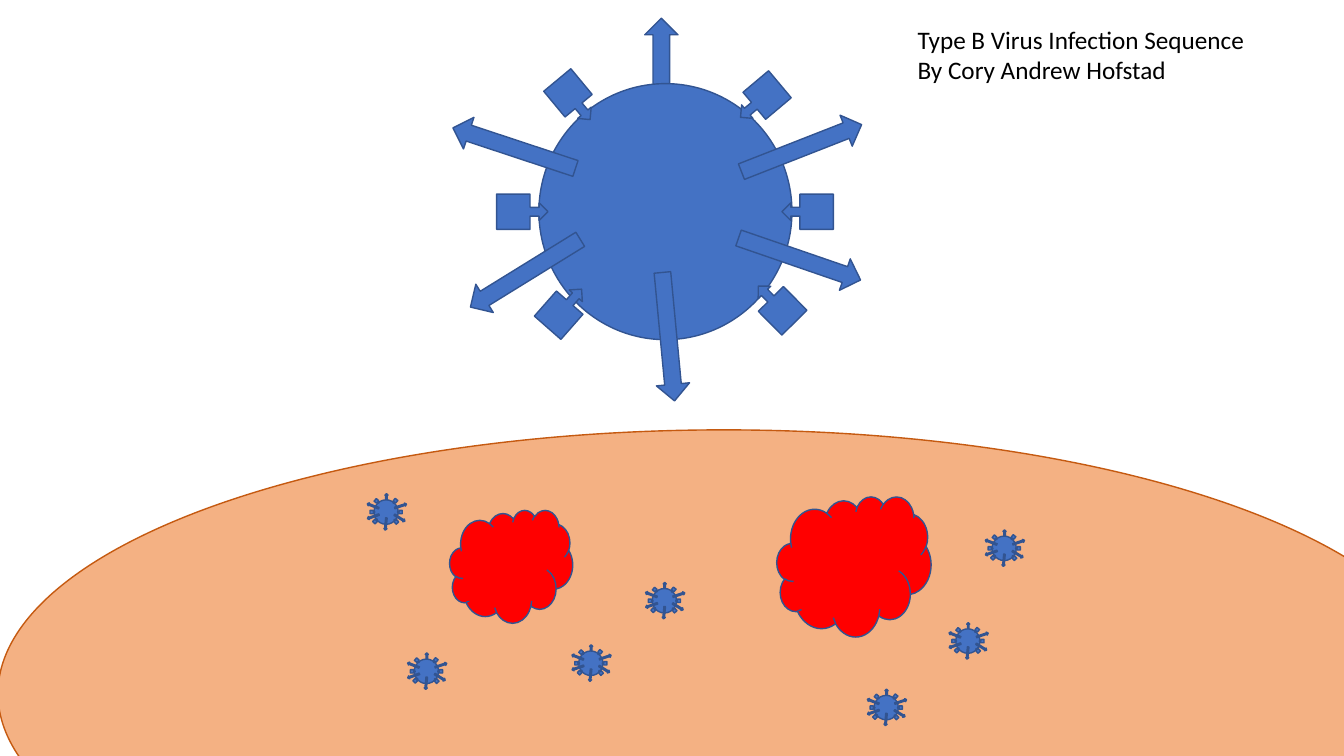
"""Build the virus infection slide: one large virus, a cell, two clouds and seven small viruses."""
from dataclasses import dataclass

from pptx import Presentation
from pptx.dml.color import RGBColor
from pptx.enum.shapes import MSO_SHAPE
from pptx.enum.text import MSO_ANCHOR, MSO_AUTO_SIZE, PP_ALIGN
from pptx.util import Inches, Pt

OVAL = MSO_SHAPE.OVAL
CLOUD = MSO_SHAPE.CLOUD
ARROW = MSO_SHAPE.RIGHT_ARROW
PLUG = MSO_SHAPE.LEFT_ARROW_CALLOUT
TOP = MSO_ANCHOR.TOP
FIT = MSO_AUTO_SIZE.SHAPE_TO_FIT_TEXT
LEFT = PP_ALIGN.LEFT


@dataclass(frozen=True)
class Theme:
    virus: str = "4472C4"
    edge: str = "325491"
    cell: str = "F4B183"
    rim: str = "C55A11"
    cloud: str = "FF0000"
    ink: str = "000000"
    font: str = "Calibri"
    text: int = 18
    line: int = 1


THEME = Theme()
SLIDE = (13.33, 7.5)
TITLE = ["Type B Virus Infection Sequence", "By Cory Andrew Hofstad"]
TITLE_BOX = (9, 0.19, 4.13, 0.71)
CELL = (7.18, 6.88, 14.4, 5.23)
CLOUDS = [(8.47, 5.62, 1.53, 1.39), (5.07, 5.62, 1.22, 1.12)]

SIZES = {OVAL: (2.51, 2.54), ARROW: (1.28, 0.33), PLUG: (0.51, 0.35)}
PARTS = [
    (ARROW, -0.04, -1.28, 270),
    (OVAL, 0, 0, 0),
    (PLUG, 1.41, 0, 0),
    (PLUG, -1.42, 0, 180),
    (PLUG, 1.1, 0.92, 45.3),
    (PLUG, 0.94, -1.1, 320),
    (PLUG, -0.91, -1.11, 230.3),
    (PLUG, -1, 0.96, 131.3),
    (ARROW, 1.35, -0.63, 338.6),
    (ARROW, 1.33, 0.47, 19),
    (ARROW, -1.5, -0.63, 198.3),
    (ARROW, -1.39, 0.61, 148.3),
    (ARROW, 0.03, 1.24, 84.6),
]
LARGE = (6.6, 2.1)
SMALL = [(8.79, 7.02), (9.96, 5.44), (9.6, 6.36), (3.83, 5.08),
         (4.23, 6.66), (5.86, 6.58), (6.59, 5.96)]
SHRINK = 0.24 / SIZES[OVAL][0]


def draw(shapes, kind, box, fill, edge):
    """Add a filled shape given its centre and size."""
    x, y, wide, high = box
    shape = shapes.add_shape(kind, Inches(x - wide / 2), Inches(y - high / 2),
                             Inches(wide), Inches(high))
    shape.shadow.inherit = False
    shape.fill.solid()
    shape.fill.fore_color.rgb = RGBColor.from_string(fill)
    shape.line.color.rgb = RGBColor.from_string(edge)
    shape.line.width = Pt(THEME.line)
    return shape


def add_virus(slide, x, y, scale=1, flip=False):
    """Add a grouped virus centred on x, y, mirrored when flip is set."""
    group = slide.shapes.add_group_shape()
    side = -1 if flip else 1
    for kind, dx, dy, turn in PARTS:
        wide, high = SIZES[kind]
        box = (x + side * dx * scale, y + dy * scale, wide * scale, high * scale)
        part = draw(group.shapes, kind, box, THEME.virus, THEME.edge)
        part.rotation = side * turn % 360
        if flip:
            part._element.spPr.get_or_add_xfrm().set("flipH", "1")


def add_title(slide):
    """Place the heading in the title placeholder."""
    title = slide.shapes.title
    title.left, title.top, title.width, title.height = map(Inches, TITLE_BOX)
    frame = title.text_frame
    frame.text = "\n".join(TITLE)
    frame.word_wrap = True
    frame.auto_size = FIT
    frame.vertical_anchor = TOP
    for para in frame.paragraphs:
        para.alignment = LEFT
        para.font.name = THEME.font
        para.font.size = Pt(THEME.text)
        para.font.color.rgb = RGBColor.from_string(THEME.ink)


def main():
    """Build and save the deck."""
    deck = Presentation()
    deck.slide_width, deck.slide_height = map(Inches, SLIDE)
    slide = deck.slides.add_slide(deck.slide_layouts[5])
    add_title(slide)
    draw(slide.shapes, OVAL, CELL, THEME.cell, THEME.rim)
    add_virus(slide, *LARGE)
    for box in CLOUDS:
        draw(slide.shapes, CLOUD, box, THEME.cloud, THEME.edge)
    for spot in SMALL:
        add_virus(slide, *spot, scale=SHRINK, flip=True)
    deck.save("out.pptx")


if __name__ == "__main__":
    main()
